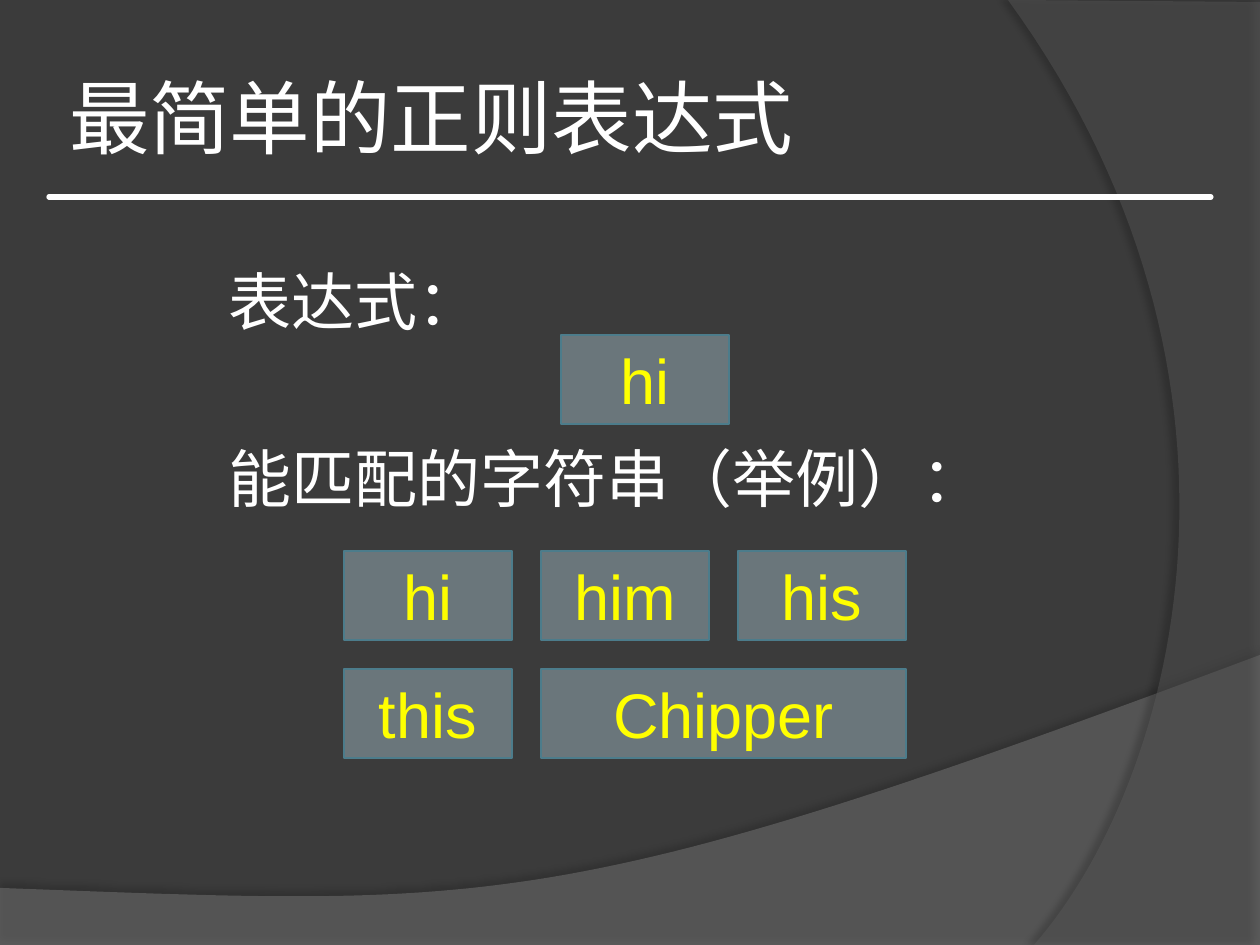
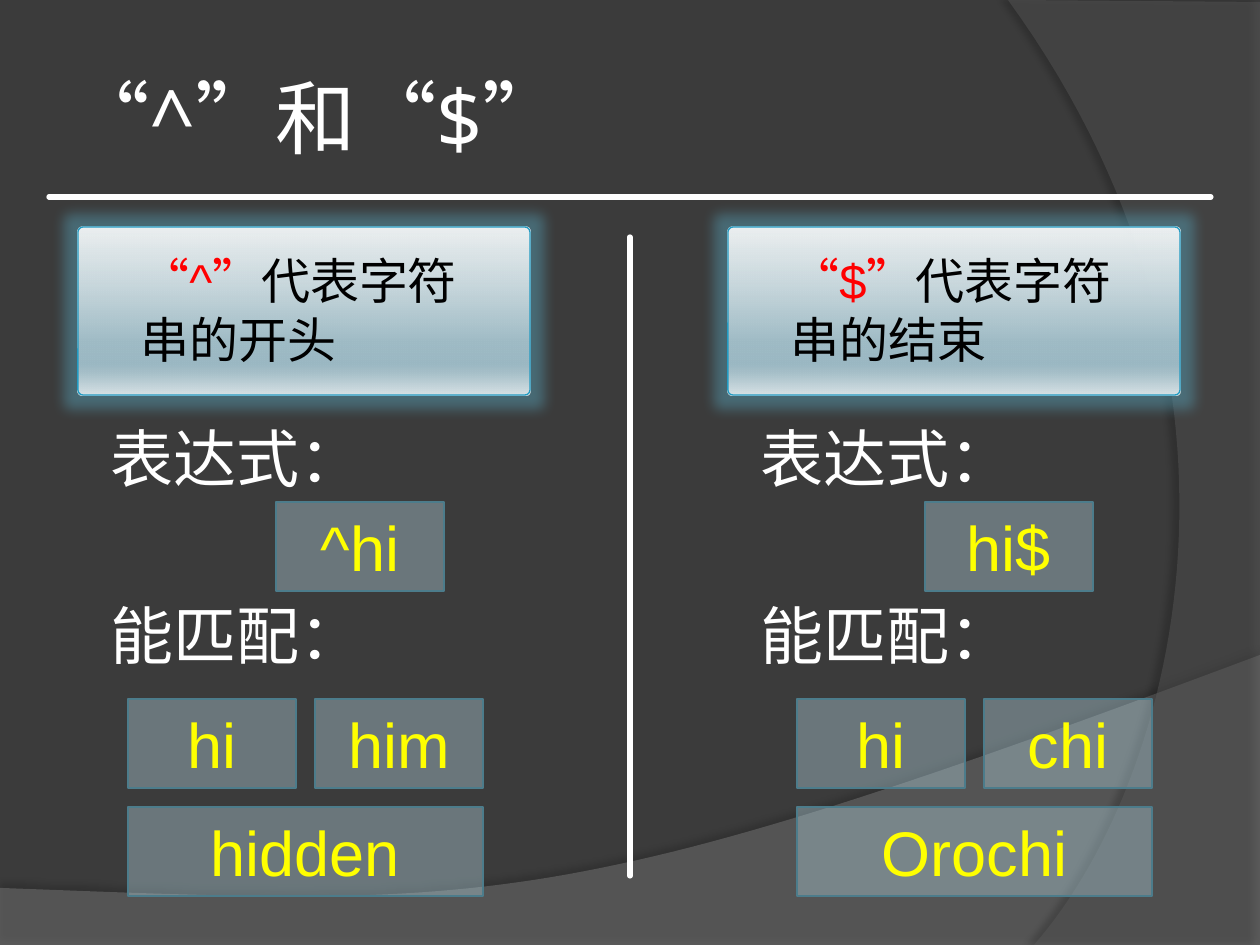
from pptx import Presentation
from pptx.dml.color import RGBColor
from pptx.enum.lang import MSO_LANGUAGE_ID as Lang
from pptx.enum.shapes import MSO_CONNECTOR as Link, MSO_SHAPE as Kind
from pptx.enum.text import MSO_ANCHOR as Anchor, MSO_AUTO_SIZE as Fit, PP_ALIGN as Align
from pptx.oxml import parse_xml
from pptx.oxml.ns import nsdecls, qn
from pptx.util import Pt
from lxml.etree import SubElement

PX = 7257
WHITE, BLACK, RED, YELLOW = "FFFFFF", "000000", "FF0000", "FFFF00"
BACK, CHIP, EDGE, RIM, GLOW = "3B3B3B", "A8C6D0", "4C7C8B", "239BC2", "5499AE"
WIDE, HIGH = 168, 89
NS = nsdecls("a")


def paint(fill, hue, part=None, alpha=100):
    fill.solid()
    fill.fore_color.rgb = RGBColor.from_string(hue)
    if part is not None:
        tone = part.element.spPr.find(".//" + qn("a:srgbClr"))
        SubElement(tone, qn("a:alpha"), val=str(alpha * 1000))


def write(frame, text, size=36, hue=WHITE, face="Arial", align=Align.LEFT):
    frame.word_wrap = True
    para = frame.paragraphs[0]
    para.alignment = align
    run = para.add_run()
    run.text = text
    font = run.font
    font.size, font.name = Pt(size), face
    font.language_id = Lang.SIMPLIFIED_CHINESE
    paint(font.fill, hue)
    SubElement(run._r.get_or_add_rPr(), qn("a:ea"), typeface="Noto Sans CJK SC")


deck = Presentation()
deck.slide_width, deck.slide_height = 1260 * PX, 945 * PX
base = deck.slide_layouts[5]
paint(base.background.fill, BACK)

pages = [
    {
        "title": "最简单的正则表达式",
        "split": False,
        "panels": [
            {
                "left": 216, "top": 256, "label": "能匹配的字符串（举例）：", "width": 759,
                "key": ("hi", 561, 335), "grid": (344, 551, 29),
                "rows": [[("hi", 1), ("him", 1), ("his", 1)], [("this", 1), ("Chipper", 2)]],
            },
        ],
    },
    {
        "title": "“^”和“$”",
        "split": True,
        "panels": [
            {
                "left": 98, "top": 413, "label": "能匹配：", "width": 344,
                "key": ("^hi", 276, 502), "grid": (128, 699, 19),
                "rows": [[("hi", 1), ("him", 1)], [("hidden", 2)]],
                "card": (78, "“^”", "代表字符串的开头"),
            },
            {
                "left": 748, "top": 413, "label": "能匹配：", "width": 344,
                "key": ("hi$", 925, 502), "grid": (797, 699, 19),
                "rows": [[("hi", 1), ("chi", 1)], [("Orochi", 2)]],
                "card": (728, "“$”", "代表字符串的结束"),
            },
        ],
    },
]
slides = [deck.slides.add_slide(base) for page in pages]

waves = [
    ([(0, 888), (0, 946), (1260, 946)],
     [(1260, 655), (556, 919), (493, 906), (0, 888)], "7F7F7F", 45, 35, 3.5, 270),
    ([(1260, 2), (1260, 945)],
     [(1034, 945), (1178, 780), (1283, 378), (1008, 0)], "5E5E5E", 40, 45, 4, 180),
]
for spot, (edge, curve, hue, alpha, dark, dist, turn) in enumerate(waves):
    bend = []
    for step in range(61):
        t = step / 60
        parts = ((1 - t) ** 3, 3 * t * (1 - t) ** 2, 3 * t * t * (1 - t), t ** 3)
        bend.append(tuple(round(PX * sum(k * p[axis] for k, p in zip(parts, curve)))
                          for axis in (0, 1)))
    edge = [(x * PX, y * PX) for x, y in edge]
    pen = slides[0].shapes.build_freeform(*edge[0])
    pen.add_line_segments(edge[1:] + bend, close=True)
    wave = pen.convert_to_shape()
    paint(wave.fill, hue, wave, alpha)
    wave.line.fill.background()
    wave.shadow.inherit = False
    wave.element.spPr.find(qn("a:effectLst")).append(parse_xml(
        f'<a:outerShdw {NS} blurRad="{Pt(4)}" dist="{Pt(dist)}" dir="{turn * 60000}" '
        f'algn="ctr" rotWithShape="0"><a:srgbClr val="{BLACK}">'
        f'<a:alpha val="{dark * 1000}"/></a:srgbClr></a:outerShdw>'))
    base.element.cSld.spTree.insert(2 + spot, wave.element)

stops = [(0, "FEFEFE", 90), (68, "A0BCC6", 100), (81, "9CB9C4", 100),
         (86, "A7C0C9", 100), (100, "DAE4E7", 100)]
blend = "".join(f'<a:gs pos="{at * 1000}"><a:srgbClr val="{hue}">'
                f'<a:alpha val="{alpha * 1000}"/></a:srgbClr></a:gs>'
                for at, hue, alpha in stops)

for page, slide in zip(pages, slides):
    shapes = slide.shapes
    title = shapes.title
    title.left, title.top, title.width, title.height = [n * PX for n in (63, 38, 1029, 157)]
    frame = title.text_frame
    frame.auto_size, frame.vertical_anchor = Fit.NONE, Anchor.MIDDLE
    frame.margin_left = frame.margin_right = frame.margin_top = frame.margin_bottom = 6 * PX
    write(frame, page["title"], size=46, face="Noto Sans")

    for panel in page["panels"]:
        left, top = panel["left"], panel["top"]
        for text, y, width in (("表达式：", top, 286), (panel["label"], top + 177, panel["width"])):
            box = shapes.add_textbox(left * PX, y * PX, width * PX, HIGH * PX)
            write(box.text_frame, text)

        word, x, y = panel["key"]
        chips = [(word, x, y, WIDE)]
        left, top, gap = panel["grid"]
        for row, words in enumerate(panel["rows"]):
            x = left
            for word, span in words:
                width = span * (WIDE + gap) - gap
                chips.append((word, x, top + row * (HIGH + gap), width))
                x += width + gap
        for word, x, y, width in chips:
            chip = shapes.add_shape(Kind.RECTANGLE, x * PX, y * PX, width * PX, HIGH * PX)
            chip.shadow.inherit = False
            paint(chip.fill, CHIP, chip, 43)
            paint(chip.line.fill, EDGE)
            chip.line.width = Pt(0.75)
            write(chip.text_frame, word, hue=YELLOW, align=Align.CENTER)

        if "card" in panel:
            x, sign, note = panel["card"]
            card = shapes.add_shape(Kind.ROUNDED_RECTANGLE, x * PX, 227 * PX, 452 * PX, 168 * PX)
            card.adjustments[0] = 0.03
            card.shadow.inherit = False
            look = card.element.spPr
            look.insert(2, parse_xml(f'<a:gradFill {NS} rotWithShape="1"><a:gsLst>{blend}'
                                     f'</a:gsLst><a:lin ang="5400000" scaled="0"/></a:gradFill>'))
            paint(card.line.fill, RIM)
            card.line.width = Pt(0.75)
            look.find(qn("a:effectLst")).append(parse_xml(
                f'<a:glow {NS} rad="{Pt(15)}"><a:srgbClr val="{GLOW}">'
                f'<a:alpha val="50000"/></a:srgbClr></a:glow>'))
            box = shapes.add_textbox((x + 50) * PX, 244 * PX, 384 * PX, 131 * PX)
            write(box.text_frame, sign, size=28, hue=RED)
            write(box.text_frame, note, size=28, hue=BLACK)

    rules = [(49, 197, 1211, 197)] + [(630, 876, 630, 237)] * page["split"]
    for ends in rules:
        rule = shapes.add_connector(Link.STRAIGHT, *[n * PX for n in ends])
        paint(rule.line.fill, WHITE)
        rule.line.width = Pt(3)
        rule.element.spPr.get_or_add_ln().set("cap", "rnd")
        SubElement(rule.element.spPr, qn("a:effectLst"))

deck.save("out.pptx")
